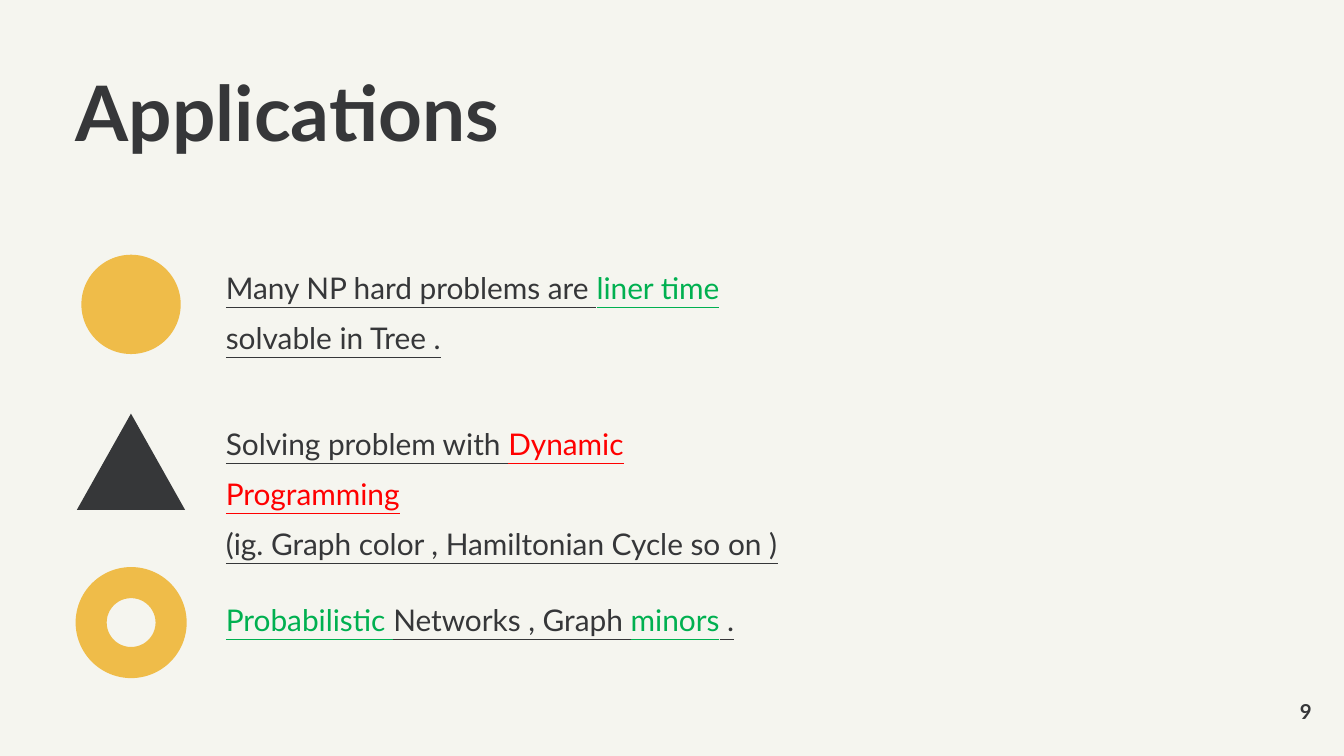
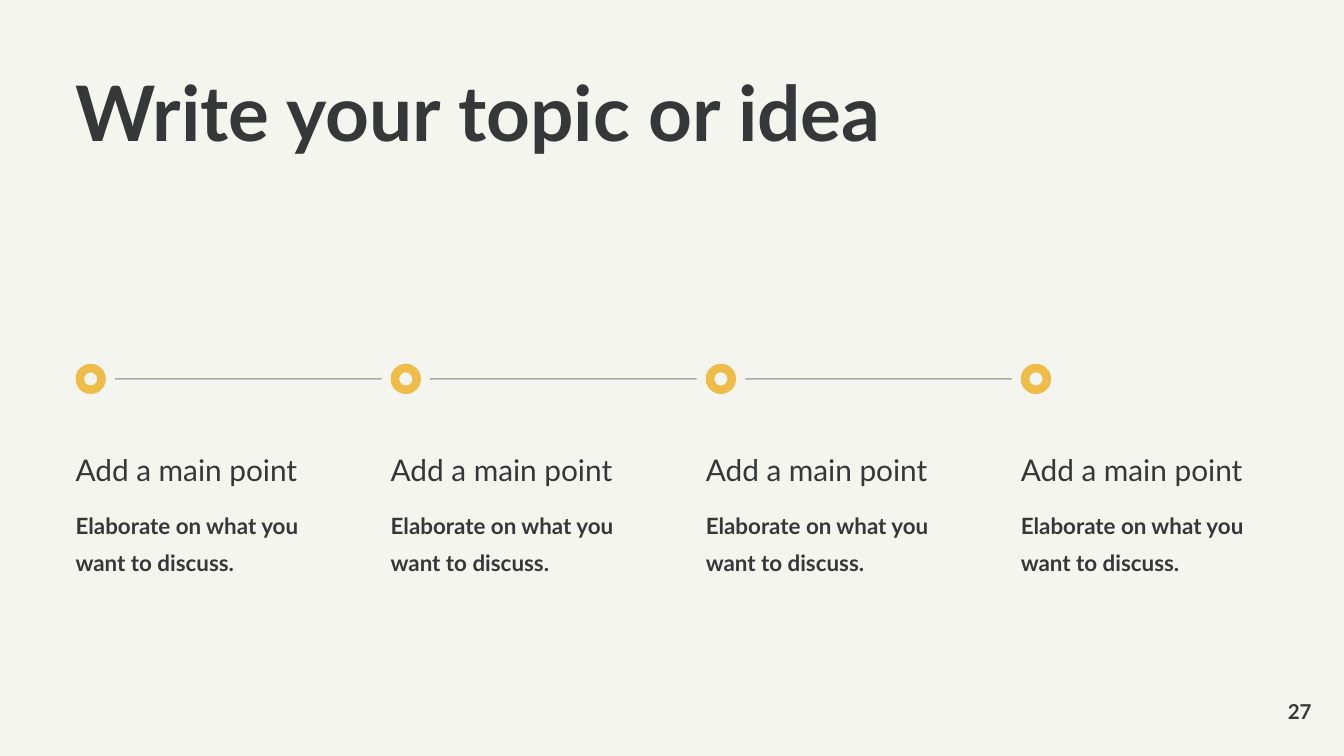
from lxml import etree
from pptx import Presentation
from pptx import util as u
from pptx.dml.color import RGBColor
from pptx.enum import shapes, text
from pptx.oxml.ns import qn

PAPER = RGBColor(0xF5, 0xF5, 0xEF)
INK = RGBColor(0x36, 0x37, 0x39)
YELLOW = RGBColor(0xEF, 0xBC, 0x49)
GREEN = RGBColor(0x00, 0xB0, 0x50)
RED = RGBColor(0xFF, 0x00, 0x00)
FONT = "Lato"
MARGIN = 40.5
RING_RATIO = 0.28


class Slides:
    def __init__(self):
        self.deck = Presentation()
        self.deck.slide_width = u.Pt(720)
        self.deck.slide_height = u.Pt(405)
        self.page = None

    def start(self, title, number):
        self.page = self.deck.slides.add_slide(self.deck.slide_layouts[6])
        fill = self.page.background.fill
        fill.solid()
        fill.fore_color.rgb = PAPER
        self.label(title, MARGIN, MARGIN, 510.5, 57, size=41, bold=True, spacing=0.9)
        self.label(number, 659.5, 373.7, 43.2, 14.4, size=11, bold=True,
                   align=text.PP_ALIGN.RIGHT, anchor=text.MSO_ANCHOR.MIDDLE)

    def label(self, content, left, top, width, height, *, size, bold=None,
              underline=None, spacing=None, grow=False, align=None,
              anchor=text.MSO_ANCHOR.TOP):
        box = self.page.shapes.add_textbox(*map(u.Pt, (left, top, width, height)))
        frame = box.text_frame
        frame.word_wrap = True
        frame.vertical_anchor = anchor
        frame.margin_left = frame.margin_right = 0
        frame.margin_top = frame.margin_bottom = 0
        if grow:
            frame.auto_size = text.MSO_AUTO_SIZE.SHAPE_TO_FIT_TEXT
        paragraphs = [[(content, INK)]] if isinstance(content, str) else content
        for index, spans in enumerate(paragraphs):
            para = frame.add_paragraph() if index else frame.paragraphs[0]
            para.alignment = align
            para.line_spacing = spacing
            for words, color in spans:
                span = para.add_run()
                span.text = words
                font = span.font
                font.name = FONT
                font.size = u.Pt(size)
                font.bold = bold
                font.underline = underline
                font.color.rgb = color

    def shape(self, kind, left, top, width, height, color):
        item = self.page.shapes.add_shape(kind, *map(u.Pt, (left, top, width, height)))
        item.shadow.inherit = False
        item.fill.solid()
        item.fill.fore_color.rgb = color
        item.line.fill.background()
        return item

    def ring(self, left, top, size):
        ring = self.shape(shapes.MSO_SHAPE.DONUT, left, top, size, size, YELLOW)
        ring.adjustments[0] = RING_RATIO

    def rule(self, start, end, y):
        line = self.page.shapes.add_connector(
            shapes.MSO_CONNECTOR.STRAIGHT, *map(u.Pt, (start, y, end, y)))
        line.line.width = u.Pt(0.75)
        line.line.color.rgb = INK
        properties = line._element.spPr
        color = properties.find(".//" + qn("a:srgbClr"))
        etree.SubElement(color, qn("a:alpha")).set("val", "39000")
        etree.SubElement(properties, qn("a:effectLst"))


def applications(slides):
    slides.start("Applications", "9")
    slides.shape(shapes.MSO_SHAPE.ISOSCELES_TRIANGLE, 41.2, 221.6, 58, 51.6, INK)
    slides.shape(shapes.MSO_SHAPE.OVAL, 43.6, 136.5, 53.2, 53.2, YELLOW)
    slides.ring(MARGIN, 303.8, 59.5)
    points = [
        (136.8, 54, [[("Many NP hard problems are ", INK), ("liner time ", GREEN),
                      ("solvable in Tree .", INK)]]),
        (220.4, 54, [[("Solving problem with ", INK), ("Dynamic Programming", RED)],
                     [("(ig. Graph color , Hamiltonian Cycle so on )", INK)]]),
        (314.8, 27, [[("Probabilistic ", GREEN), ("Networks , Graph ", INK),
                      ("minors", GREEN), (" .", INK)]]),
    ]
    for top, height, content in points:
        slides.label(content, 121, top, 309, height, size=16, underline=True,
                     spacing=1.4, grow=True)


def timeline(slides):
    slides.start("Write your topic or idea", "27")
    count, pitch, size, middle = 4, 168.8, 16.2, 203
    for index in range(count):
        left = MARGIN + index * pitch
        slides.ring(left, middle - size / 2, size)
        if index < count - 1:
            slides.rule(left + 21.2, left + pitch - 4.9, middle)
        slides.label("Add a main point", left, 234.3, 132.5, 19.4, size=16,
                     spacing=1.4, grow=True)
        slides.label("Elaborate on what you want to discuss.", left, 268.4, 132.5, 34.6,
                     size=12, bold=True, spacing=1.4, grow=True)


def main():
    slides = Slides()
    applications(slides)
    timeline(slides)
    slides.deck.save("out.pptx")


if __name__ == "__main__":
    main()
